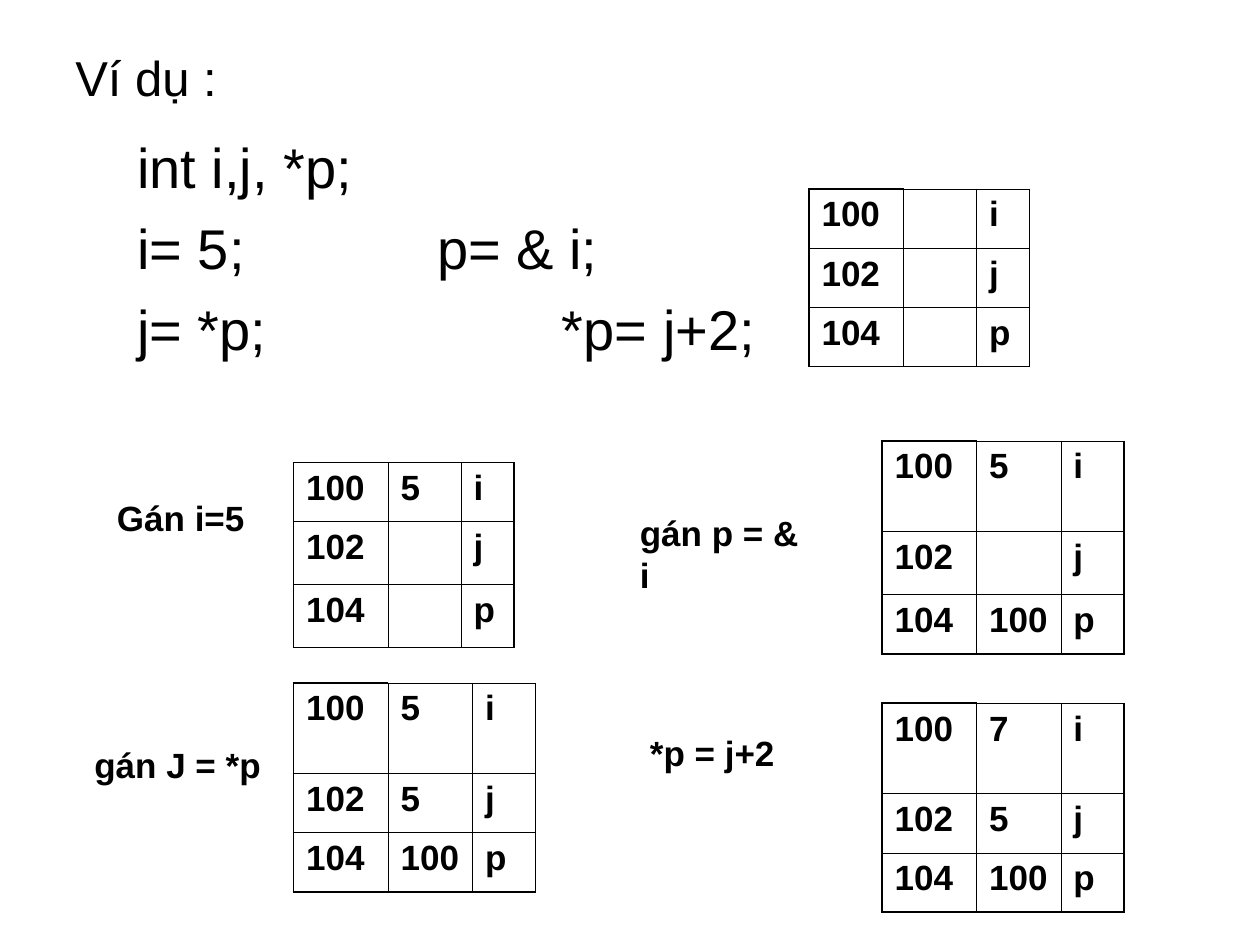
from lxml import etree
from pptx import Presentation
from pptx import util as u
from pptx.dml.color import RGBColor
from pptx.enum import text
from pptx.oxml.ns import qn

COLORS = {"ink": "000000"}
FONT = "Arial"
THIN, THICK = 0.45, 1.08
SMALL_COLUMNS = [0.75, 0.58, 0.42]
LARGE_COLUMNS = [0.75, 0.67, 0.5]
ADDRESSES = ["100", "102", "104"]
VARIABLES = ["i", "j", "p"]

MEMORY_TABLES = [
    (6.42, 1.5, SMALL_COLUMNS, [0.47, 0.47, 0.47], ["", "", ""]),
    (2.33, 3.67, SMALL_COLUMNS, [0.47, 0.5, 0.5], ["5", "", ""]),
    (7, 3.5, LARGE_COLUMNS, [0.72, 0.5, 0.47], ["5", "", "100"]),
    (2.33, 5.42, LARGE_COLUMNS, [0.72, 0.47, 0.47], ["5", "5", "100"]),
    (7, 5.58, LARGE_COLUMNS, [0.72, 0.47, 0.47], ["7", "5", "100"]),
]
STEP_LABELS = [
    (0.83, 3.89, 1.21, "Gán i=5"),
    (4.98, 4.01, 1.61, "gán p = & i"),
    (0.65, 5.85, 1.52, "gán J = *p"),
    (5.06, 5.76, 1.19, "*p = j+2"),
]
CODE_LINES = [("int i,j, *p;", None), ("i= 5;\tp= & i;", 2.38), ("j= *p;\t*p= j+2;", 3.37)]


def style_paragraph(paragraph, size, bold=False, space_before=0):
    """Format a paragraph and all its runs."""
    paragraph.space_before = u.Pt(space_before)
    for run in paragraph.runs:
        run.font.name = FONT
        run.font.size = u.Pt(size)
        run.font.bold = bold
        run.font.color.rgb = RGBColor.from_string(COLORS["ink"])


def add_text(slide, left, top, width, height, content, size, bold=False, wrap=True):
    """Add a text box and return its text frame."""
    box = slide.shapes.add_textbox(*map(u.Inches, (left, top, width, height)))
    frame = box.text_frame
    frame.word_wrap = wrap
    frame.text = content
    for paragraph in frame.paragraphs:
        style_paragraph(paragraph, size, bold)
    return frame


def add_code(slide):
    """Add the code lines, each with its own tab stop."""
    content = "\n".join(line for line, _ in CODE_LINES)
    frame = add_text(slide, 0.5, 1, 9, 5.7, content, 32)
    frame.margin_left = u.Inches(0.59)
    for paragraph, (_, stop) in zip(frame.paragraphs, CODE_LINES):
        paragraph.space_before = u.Pt(8)
        if stop:
            properties = paragraph._p.get_or_add_pPr()
            tabs = etree.SubElement(properties, qn("a:tabLst"))
            etree.SubElement(tabs, qn("a:tab"), pos=str(u.Inches(stop)), algn="l")


def set_borders(cell, widths):
    """Draw the cell's borders from widths keyed by side."""
    properties = cell._tc.get_or_add_tcPr()
    for side, width in widths.items():
        line = etree.SubElement(properties, qn(f"a:ln{side}"), w=str(u.Pt(width)))
        fill = etree.SubElement(line, qn("a:solidFill"))
        etree.SubElement(fill, qn("a:srgbClr"), val=COLORS["ink"])


def add_memory_table(slide, left, top, columns, rows, values):
    """Add a table of addresses, values and variable names."""
    frame = slide.shapes.add_table(
        len(rows), len(columns),
        *map(u.Inches, (left, top, sum(columns), sum(rows))))
    table = frame.table
    table.first_row = table.horz_banding = False
    for column, width in zip(table.columns, columns):
        column.width = u.Inches(width)
    for row, height in zip(table.rows, rows):
        row.height = u.Inches(height)
    for r, contents in enumerate(zip(ADDRESSES, values, VARIABLES)):
        for c, content in enumerate(contents):
            cell = table.cell(r, c)
            if content:
                cell.text = content
                style_paragraph(cell.text_frame.paragraphs[0], 20, True, 5)
            heavy = {"L": c == 0, "R": c == len(columns) - 1,
                     "T": r == c == 0, "B": r == len(rows) - 1}
            set_borders(cell, {side: THICK if on else THIN for side, on in heavy.items()})
            cell.fill.background()


def main():
    """Build and save the pointer example slide."""
    presentation = Presentation()
    presentation.slide_width = u.Inches(10)
    presentation.slide_height = u.Inches(7.5)
    slide = presentation.slides.add_slide(presentation.slide_layouts[6])
    title = add_text(slide, 0.5, 0.3, 9, 0.62, "Ví dụ :", 28)
    title.vertical_anchor = text.MSO_ANCHOR.MIDDLE
    add_code(slide)
    for memory in MEMORY_TABLES:
        add_memory_table(slide, *memory)
    for left, top, width, label in STEP_LABELS:
        frame = add_text(slide, left, top, width, 0.44, label, 20, True, False)
        frame.auto_size = text.MSO_AUTO_SIZE.SHAPE_TO_FIT_TEXT
    presentation.save("out.pptx")


if __name__ == "__main__":
    main()
